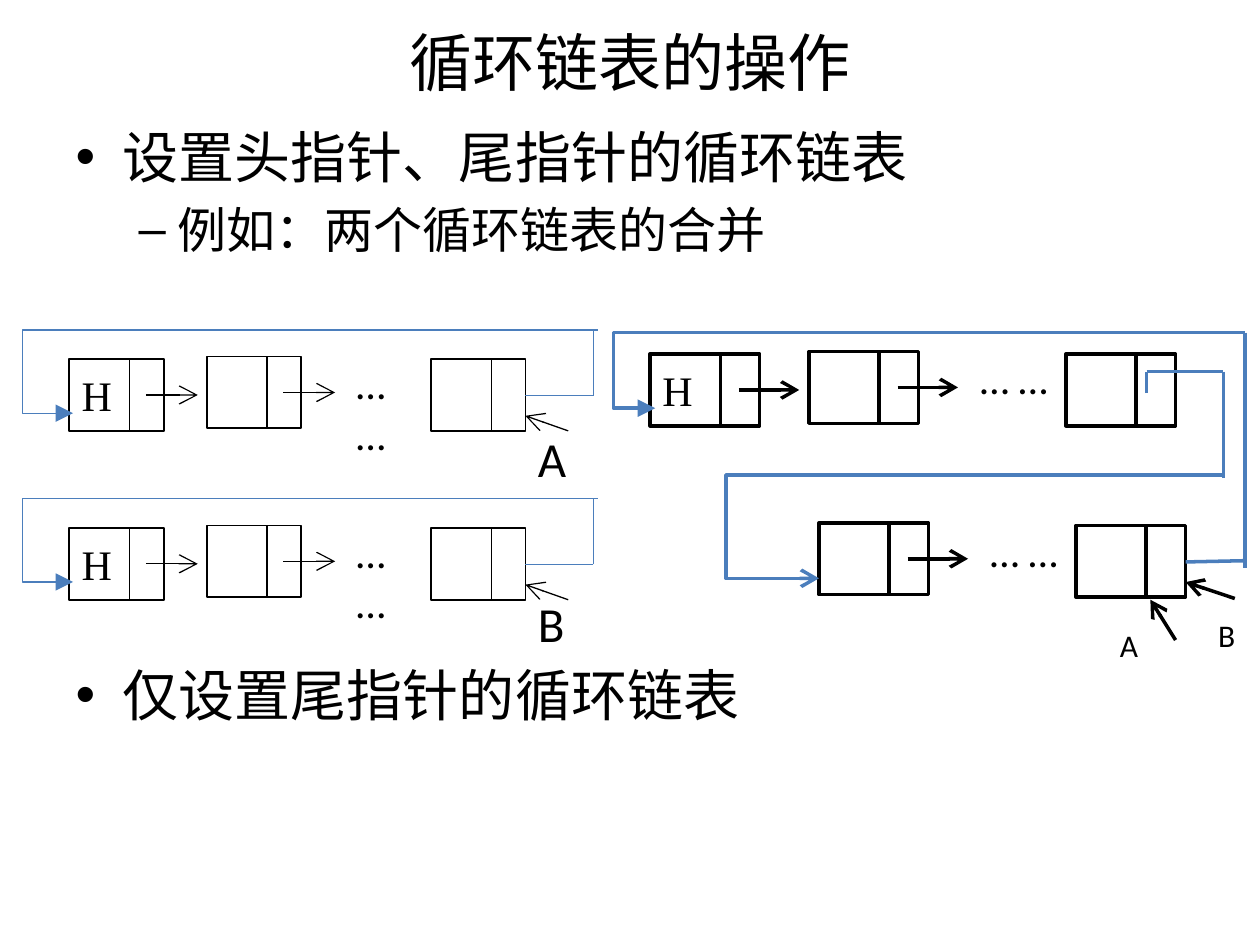
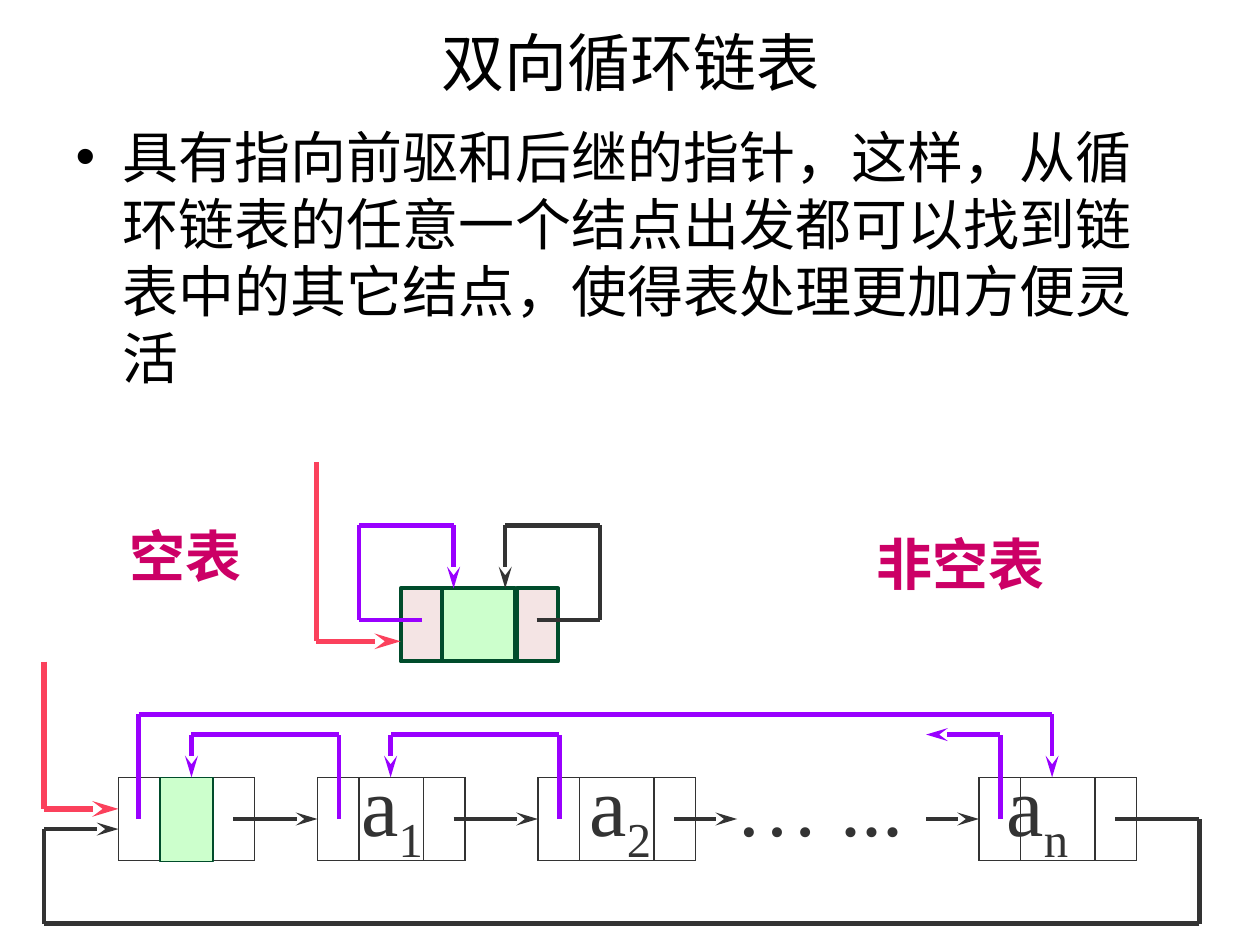
from lxml.etree import SubElement as Sub
from pptx import Presentation
from pptx.dml.color import RGBColor as RGB
from pptx.enum.shapes import MSO_CONNECTOR as Conn, MSO_SHAPE as Shape
from pptx.enum.text import MSO_ANCHOR as Anchor, PP_ALIGN as Align
from pptx.oxml.ns import qn
from pptx.util import Inches, Pt

BLACK = RGB(0, 0, 0)
BLUE = RGB(0x4B, 0x7E, 0xBC)
GREY = RGB(0x33, 0x33, 0x33)
RED = RGB(0xFB, 0x41, 0x5C)
VIOLET = RGB(0x99, 0x00, 0xFF)
MAGENTA = RGB(0xCC, 0x00, 0x66)
GREEN = RGB(0xCC, 0xFF, 0xCC)
PINK = RGB(0xF4, 0xE4, 0xE4)
FOREST = RGB(0x00, 0x4C, 0x2B)
SANS, SERIF = "Calibri", "Times New Roman"

MERGE = ("循环链表的操作", [
    ("设置头指针、尾指针的循环链表", 0, 32, 0),
    ("例如：两个循环链表的合并", 1, 28, 5.6),
    ("仅设置尾指针的循环链表", 0, 32, 230),
])
DOUBLE = ("双向循环链表", [
    ("具有指向前驱和后继的指针，这样，从循环链表的任意一个结点出发都可以"
     "找到链表中的其它结点，使得表处理更加方便灵活", 0, 32, 0),
])
DOTS = "… …"
RINGS = [("A", 2.85, 3.35), ("B", 4.19, 4.66)]
JOINED = [
    (5.16, 2.81, "H", True),
    (6.42, 2.79, "", True),
    (8.46, 2.81, "", False),
    (6.5, 4.15, "", True),
    (8.54, 4.17, "", False),
]
TALL = 0.57

NAMES = [("\ta", "1"), ("\ta", "2"), ("\t… ...\ta", "n")]
STOPS = [0.5, 2.31, 3.47, 5.62]
CELLS = [(0.94, 2.02), (2.52, 3.69), (4.27, 5.52), (7.77, 9.02)]
TOP, MID, LOW = 6.17, 6.5, 6.83
PART = 0.33
HEADS = [("空表", 0.93, 4.09, 1.1), ("非空表", 6.86, 4.15, 1.55)]
EMPTY = [(3.51, 0.58, GREEN), (4.1, PART, PINK), (3.18, PART, PINK)]
PATHS = [
    (RED, 3, True, [(0.35, 5.25), (0.35, 6.42), (0.94, 6.42)]),
    (RED, 3, True, [(2.51, 3.67), (2.51, 5.09), (3.18, 5.09)]),
    (GREY, 2.5, True, [(8.85, MID), (9.52, MID), (9.52, 7.33), (0.35, 7.33),
                       (0.35, 6.58), (0.94, 6.58)]),
    (GREY, 2.5, True, [(4.26, 4.92), (4.76, 4.92), (4.76, 4.17), (4.01, 4.17),
                       (4.01, 4.67)]),
    (VIOLET, 2.5, True, [(3.35, 4.92), (2.85, 4.92), (2.85, 4.17), (3.6, 4.17),
                         (3.6, 4.67)]),
    (VIOLET, 2.5, True, [(7.94, MID), (7.94, 5.83), (7.35, 5.83)]),
    (VIOLET, 2.5, True, [(4.44, MID), (4.44, 5.83), (3.1, 5.83), (3.1, TOP)]),
    (VIOLET, 2.5, True, [(2.69, MID), (2.69, 5.83), (1.52, 5.83), (1.52, TOP)]),
    (VIOLET, 2.5, True, [(1.1, MID), (1.1, 5.67), (8.35, 5.67), (8.35, TOP)]),
    (GREY, 2.5, True, [(1.85, MID), (2.52, MID)]),
    (GREY, 2.5, True, [(3.6, MID), (4.27, MID)]),
    (GREY, 2.5, True, [(5.35, MID), (5.85, MID)]),
    (GREY, 2.5, True, [(7.35, MID), (7.77, MID)]),
]


def place(shape, *box):
    shape.left, shape.top, shape.width, shape.height = map(Inches, box)


def write(para, text, size, font=SANS, color=BLACK, bold=None):
    run = para.add_run()
    run.text = text
    run.font.size = Pt(size)
    run.font.name = font
    run.font.color.rgb = color
    run.font.bold = bold
    return run


def start(deck, title, items):
    slide = deck.slides.add_slide(deck.slide_layouts[1])
    head, body = slide.placeholders
    place(head, 0.5, 0.06, 9, 0.86)
    place(body, 0.5, 0.92, 9, 6.58)
    head.text_frame.vertical_anchor = Anchor.MIDDLE
    para = head.text_frame.paragraphs[0]
    para.alignment = Align.CENTER
    write(para, title, 36)
    frame = body.text_frame
    for i, (text, level, size, gap) in enumerate(items):
        para = frame.add_paragraph() if i else frame.paragraphs[0]
        para.level = level
        para.space_before = Pt(gap)
        write(para, text, size)
    return slide


def label(slide, text, box, size, font=SANS, color=BLACK, bold=None, wrap=False):
    shape = slide.shapes.add_textbox(*map(Inches, box))
    shape.text_frame.word_wrap = wrap
    para = shape.text_frame.paragraphs[0]
    if text:
        write(para, text, size, font, color, bold)
    return para


def line(slide, a, b, color, width, head=None, tail=None, bend=None):
    kind = Conn.STRAIGHT if bend is None else Conn.ELBOW
    con = slide.shapes.add_connector(kind, *map(Inches, (*a, *b)))
    con.line.color.rgb = color
    con.line.width = Pt(width)
    props = con.element.spPr
    for tag, style in (("a:headEnd", head), ("a:tailEnd", tail)):
        if style:
            wide = "med" if style == "stealth" else "lg"
            Sub(props.find(qn("a:ln")), qn(tag), type=style, w=wide, len="lg")
    Sub(props, qn("a:effectLst"))
    if bend is not None:
        geom = props.find(qn("a:prstGeom"))
        guides = geom.find(qn("a:avLst"))
        if guides is None:
            guides = Sub(geom, qn("a:avLst"))
        ratio = (bend - a[0]) / (b[0] - a[0])
        Sub(guides, qn("a:gd"), name="adj1", fmla=f"val {round(ratio * 100000)}")


def trace(slide, points, color, width, tail=None):
    last = len(points) - 2
    for i, (a, b) in enumerate(zip(points, points[1:])):
        line(slide, a, b, color, width, tail=tail if i == last else None)


def block(slide, box, color, width, fill=None):
    shape = slide.shapes.add_shape(Shape.RECTANGLE, *map(Inches, box))
    shape.shadow.inherit = False
    shape.line.color.rgb = color
    shape.line.width = Pt(width)
    if fill is None:
        shape.fill.background()
    else:
        shape.fill.solid()
        shape.fill.fore_color.rgb = fill
    return shape


def node(slide, x, y, wide, edge, thin, text="", link=True):
    shape = block(slide, (x, y, wide, TALL), BLACK, edge)
    if text:
        frame = shape.text_frame
        frame.word_wrap = False
        frame.vertical_anchor = Anchor.MIDDLE
        frame.paragraphs[0].alignment = Align.LEFT
        write(frame.paragraphs[0], text, 24, SERIF)
    split = x + 0.64 * wide
    line(slide, (split, y), (split, y + TALL), BLACK, thin)
    if link:
        mid = y + TALL / 2
        line(slide, (x + 0.81 * wide, mid), (x + 1.36 * wide, mid),
             BLACK, thin, tail="arrow")


def ring(slide, name, y, low):
    for x, dy, text, link in ((0.55, 0, "H", True), (1.64, -0.02, "", True),
                              (3.42, 0, "", False)):
        node(slide, x, y + dy, 0.75, 1, 0.75, text, link)
    line(slide, (4.51, y + TALL), (4.17, y + 0.45), BLACK, 0.75, tail="arrow")
    label(slide, DOTS, (2.73, y - 0.06, 0.64, 0.5), 24, wrap=True)
    roof, mid = y - 0.23, y + 0.29
    line(slide, (0.58, y + 0.43), (4.75, roof), BLUE, 0.75,
         head="triangle", bend=0.18)
    line(slide, (4.71, roof), (4.71, mid), BLUE, 0.75)
    line(slide, (4.71, mid), (4.17, mid), BLUE, 1)
    label(slide, name, (4.17, low, 0.37, 0.57), 28)


def merge(deck):
    slide = start(deck, *MERGE)
    for item in RINGS:
        ring(slide, *item)
    for x, y, text, link in JOINED:
        node(slide, x, y, 0.87, 2, 2, text, link)
    for x, y in ((7.68, 2.75), (7.76, 4.12)):
        label(slide, DOTS, (x, y, 0.74, 0.5), 24)
    line(slide, (5.2, 3.24), (9.88, 2.64), BLUE, 2, head="triangle", bend=4.87)
    trace(slide, [(9.88, 2.64), (9.88, 4.51)], BLUE, 2)
    trace(slide, [(9.88, 4.45), (9.41, 4.46)], BLUE, 2)
    trace(slide, [(9.1, 3.12), (9.1, 2.95), (9.71, 2.95), (9.71, 3.79)], BLUE, 2)
    line(slide, (9.71, 3.77), (6.02, 4.59), BLUE, 2, bend=5.76)
    line(slide, (6.02, 4.59), (6.5, 4.59), BLUE, 2, tail="arrow")
    line(slide, (9.8, 4.75), (9.41, 4.62), BLACK, 2, tail="arrow")
    line(slide, (9.33, 5.08), (9.13, 4.76), BLACK, 2, tail="arrow")
    label(slide, "A", (8.79, 4.92, 0.35, 0.4), 18)
    label(slide, "B", (9.57, 4.84, 0.39, 0.4), 18, wrap=True)


def double(deck):
    slide = start(deck, *DOUBLE)
    for text, x, y, wide in HEADS:
        label(slide, text, (x, y, wide, 0.64), 32, SERIF, MAGENTA, True)
    para = label(slide, "", (2.27, 5.92, 7.58, 1.3), 48, wrap=True)
    tabs = Sub(para._p.get_or_add_pPr(), qn("a:tabLst"))
    for stop in STOPS:
        Sub(tabs, qn("a:tab"), pos=str(Inches(stop)), algn="l")
    for base, sub in NAMES:
        write(para, base, 48, SERIF, GREY)
        run = write(para, sub, 48, SERIF, GREY)
        run.font._element.set("baseline", "-25000")
    for left, right in CELLS:
        for y in (TOP, LOW):
            line(slide, (left, y), (right, y), GREY, 0.75)
        for x in (left, left + PART, right - PART, right):
            line(slide, (x, TOP), (x, LOW), GREY, 0.75)
    block(slide, (1.27, TOP, 0.42, 0.67), FOREST, 0.75, GREEN)
    for x, wide, fill in EMPTY:
        block(slide, (x, 4.67, wide, 0.58), FOREST, 2.25, fill)
    for color, width, tip, points in PATHS:
        trace(slide, points, color, width, "stealth" if tip else None)


def main():
    deck = Presentation()
    deck.slide_width, deck.slide_height = Inches(10), Inches(7.5)
    merge(deck)
    double(deck)
    deck.save("out.pptx")


if __name__ == "__main__":
    main()
